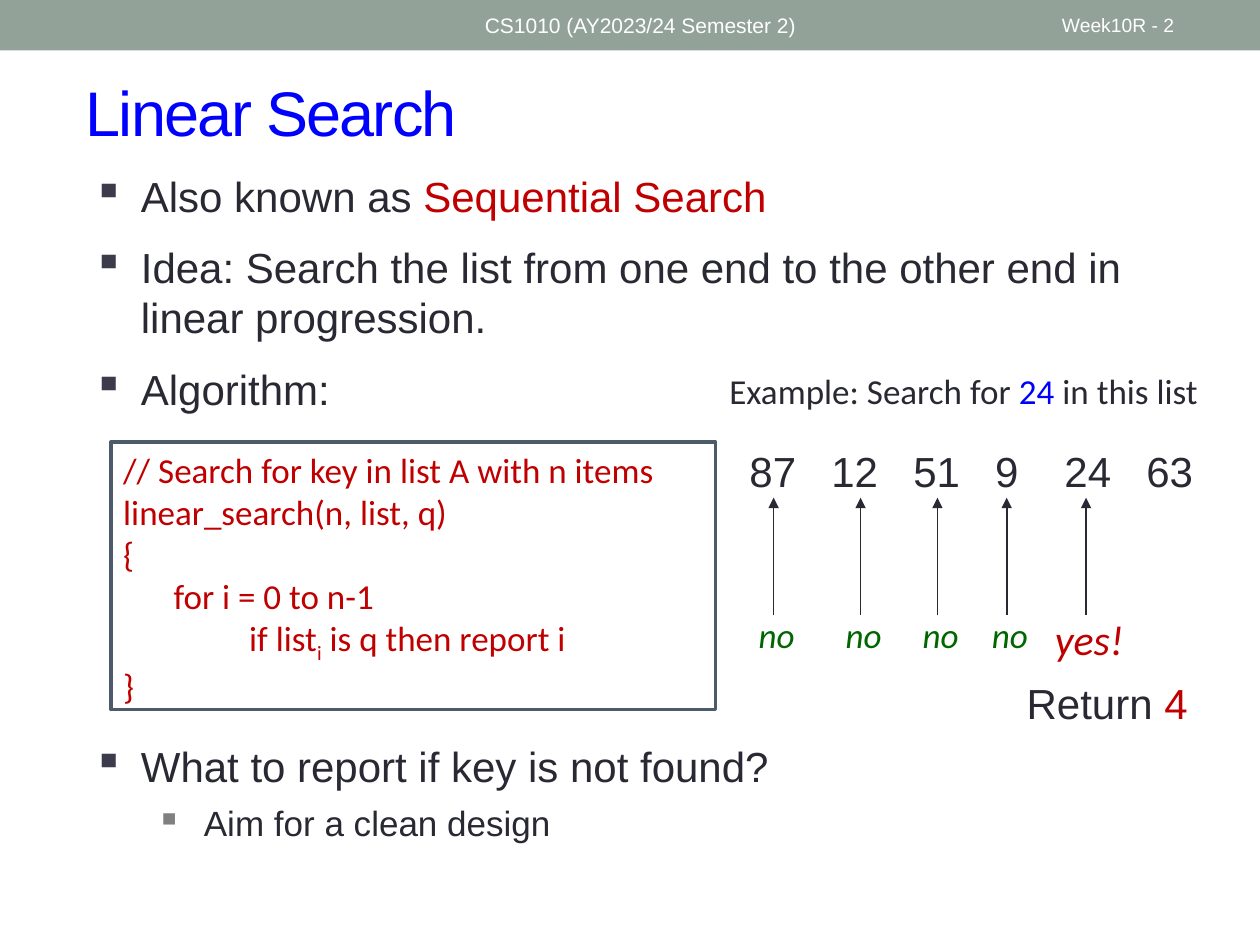
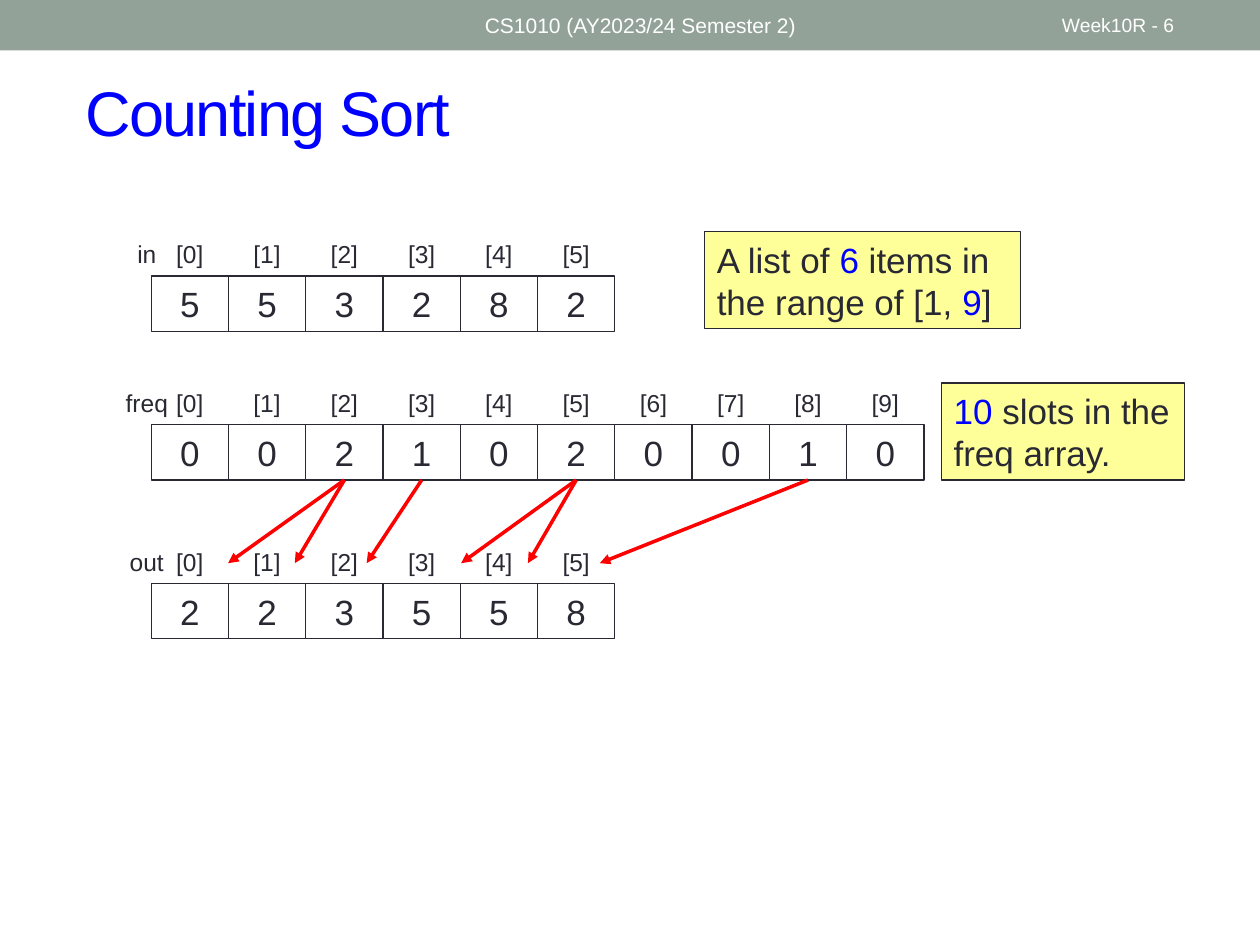
from dataclasses import dataclass

from lxml import etree
from pptx import Presentation
from pptx import util as u
from pptx.dml.color import RGBColor
from pptx.enum import shapes, text
from pptx.oxml.ns import qn

COLORS = {
    "band": "93A299", "ink": "292934", "blue": "0000FF", "red": "C00000",
    "green": "006600", "arrow": "FF0000", "note": "FFFF99", "white": "FFFFFF",
    "frame": "4C5A6A", "bullet": "3B3B4B", "sub_bullet": "808080",
}
COLUMNS, ROWS = 100, 75
CENTER = text.PP_ALIGN.CENTER
MIDDLE, TOP = text.MSO_ANCHOR.MIDDLE, text.MSO_ANCHOR.TOP


def rgb(name):
    return RGBColor.from_string(COLORS[name])


def assign(target, **values):
    for name, value in values.items():
        setattr(target, name, value)


@dataclass
class Line:
    """A paragraph; each run is a string or a (string, colour, baseline) tuple."""
    runs: list
    size: int = 20
    color: str = "ink"
    font: str = "Arial"
    italic: bool = False
    align: object = text.PP_ALIGN.LEFT
    before: int = 0
    indent: float = 0
    bullet: str = ""
    tabs: tuple = ()


class Deck:
    def __init__(self):
        self.prs = Presentation()
        assign(self.prs, slide_width=u.Inches(10), slide_height=u.Inches(7.5))
        self.slide = None

    def x(self, columns):
        return round(self.prs.slide_width * columns / COLUMNS)

    def y(self, rows):
        return round(self.prs.slide_height * rows / ROWS)

    def area(self, left, top, width, height):
        return self.x(left), self.y(top), self.x(width), self.y(height)

    def add_slide(self, title, number):
        self.slide = self.prs.slides.add_slide(self.prs.slide_layouts[5])
        self.box((0, 0, 100, 4), [], fill="band")
        heading = self.slide.shapes.title
        left, top, width, height = self.area(5.8, 4.2, 91.7, 9.2)
        assign(heading, left=left, top=top, width=width, height=height)
        self.fill_text(heading, [Line([title], 36, "blue")], MIDDLE)
        for run in heading.text_frame.paragraphs[0].runs:
            run._r.get_or_add_rPr().set("spc", "-100")
        self.label((37.5, 0.2, 45, 3.6),
                   [Line(["CS1010 (AY2023/24 Semester 2)"], 12, "white")], MIDDLE)
        self.label((83.3, 0.2, 11.7, 3.6),
                   [Line([f"Week10R - {number}"], 11, "white")], MIDDLE)

    def fill_text(self, shape, lines, anchor=TOP):
        frame = shape.text_frame
        assign(frame, word_wrap=True, vertical_anchor=anchor,
               auto_size=text.MSO_AUTO_SIZE.NONE)
        for i, line in enumerate(lines):
            paragraph = frame.add_paragraph() if i else frame.paragraphs[0]
            assign(paragraph, alignment=line.align, space_before=u.Pt(line.before))
            self.indent(paragraph._p.get_or_add_pPr(), line)
            for part in line.runs:
                words, color, baseline = (part if isinstance(part, tuple)
                                          else (part, line.color, 0))
                run = paragraph.add_run()
                run.text = words
                assign(run.font, name=line.font, size=u.Pt(line.size),
                       italic=line.italic)
                run.font.color.rgb = rgb(color)
                if baseline:
                    run._r.get_or_add_rPr().set("baseline", str(baseline * 1000))

    def indent(self, properties, line):
        """Set the margin, bullet and tab stops of a paragraph."""
        properties.set("marL", str(self.x(line.indent)))
        if line.bullet:
            properties.set("indent", str(-self.x(3.8)))
            tint = etree.SubElement(properties, qn("a:buClr"))
            etree.SubElement(tint, qn("a:srgbClr"), val=COLORS[line.bullet])
            etree.SubElement(properties, qn("a:buChar"), char="▪")
        if line.tabs:
            stops = etree.SubElement(properties, qn("a:tabLst"))
            for stop in line.tabs:
                etree.SubElement(stops, qn("a:tab"), pos=str(self.x(stop)), algn="l")

    def label(self, area, lines, anchor=TOP):
        self.fill_text(self.slide.shapes.add_textbox(*self.area(*area)), lines, anchor)

    def box(self, area, lines, fill=None, line=None, weight=0.75, anchor=TOP):
        box = self.slide.shapes.add_shape(shapes.MSO_SHAPE.RECTANGLE, *self.area(*area))
        box.shadow.inherit = False
        for part, color in ((box.fill, fill), (box.line.fill, line)):
            if color:
                part.solid()
                part.fore_color.rgb = rgb(color)
            else:
                part.background()
        if line:
            box.line.width = u.Pt(weight)
        self.fill_text(box, lines, anchor)
        return box

    def arrow(self, start, end, color, weight, source=None):
        """Draw an arrow, joined to the bottom of the source box if there is one."""
        arrow = self.slide.shapes.add_connector(
            shapes.MSO_CONNECTOR.STRAIGHT, self.x(start[0]), self.y(start[1]),
            self.x(end[0]), self.y(end[1]))
        if source is not None:
            arrow.begin_connect(source, 2)
        arrow.line.color.rgb = rgb(color)
        arrow.line.width = u.Pt(weight)
        etree.SubElement(arrow.line._get_or_add_ln(), qn("a:tailEnd"), type="triangle")
        etree.SubElement(arrow._element.spPr, qn("a:effectLst"))

    def array(self, name, values, top):
        """Draw a named row of indexed cells and return the cells."""
        left, pitch = 12, 55.2 / 9
        self.label((7.9, top - 3.4, 7.5, 3.4), [Line([name], 14, align=CENTER)])
        cells = []
        for i, value in enumerate(values):
            cell_left = left + i * pitch
            self.label((cell_left, top - 3.4, pitch, 3.4),
                       [Line([f"[{i}]"], 14, align=CENTER)])
            cells.append(self.box((cell_left, top, pitch, 4.4),
                                  [Line([str(value)], align=CENTER)],
                                  line="ink", anchor=MIDDLE))
        return cells


def point(*runs):
    return Line(list(runs), 24, before=12, indent=3.8, bullet="bullet")


def code(*runs, indent=0):
    return Line(list(runs), color="red", font="Calibri", indent=indent)


def linear_search(deck):
    deck.add_slide("Linear Search", 2)
    deck.label((6.4, 13, 90, 22.1), [
        point("Also known as ", ("Sequential Search", "red", 0)),
        point("Idea: Search the list from one end to the other end in "
              "linear progression."),
        point("Algorithm:"),
    ])
    deck.box((8.8, 35.1, 48, 21.2), [
        code("// Search for key in list A with n items"),
        code("linear_search(n, list, q)"),
        code("{"),
        code("for i = 0 to n-1", indent=4),
        code("if list", ("i", "red", -25), " is q then report i", indent=10),
        code("}"),
    ], fill="white", line="frame", weight=2.08)
    deck.label((58.5, 34.9, 38.6, 5.1), [
        Line(["87\t12\t51\t9\t24\t63"], 24, tabs=(6.5, 13, 19.5, 25, 31.5))])
    deck.label((56.9, 28.8, 42.1, 4.4), [
        Line(["Example: Search for ", ("24", "blue", 0), " in this list"],
             font="Calibri")])
    no, yes = ("no", 20, "green"), ("yes!", 24, "red")
    for center, (answer, size, color) in zip((61.4, 68.3, 74.4, 79.9, 86.2),
                                             [no] * 4 + [yes]):
        deck.arrow((center, 48.8), (center, 39.5), "ink", 1)
        deck.label((center - 3.9, 48.2, 8.3, 5), [
            Line([answer], size, color, "Calibri", italic=True, align=CENTER)])
    deck.label((6.4, 58.3, 90, 11.1), [
        point("What to report if key is not found?"),
        Line(["Aim for a clean design"], before=6, indent=8.8, bullet="sub_bullet"),
    ])
    deck.label((80.5, 53.3, 16.6, 5), [Line(["Return ", ("4", "red", 0)], 24)])


def counting_sort(deck):
    deck.add_slide("Counting Sort", 6)
    items = [5, 5, 3, 2, 8, 2]
    counts = [items.count(slot) for slot in range(10)]
    ordered = sorted(items)
    deck.array("in", items, 21.9)
    slots = deck.array("freq", counts, 33.7)
    deck.array("out", ordered, 46.3)
    for value, tip in zip(ordered, (18.1, 23.4, 29.1, 36.6, 41.9, 47.6)):
        deck.arrow((tip, 38.1), (tip, 44.7), "arrow", 2, slots[value])
    deck.box((55.9, 18.4, 25.1, 7.7), [
        Line(["A list of ", ("6", "blue", 0), " items in the range of [1, ",
              ("9", "blue", 0), "]"])], fill="note", line="ink")
    deck.box((74.7, 30.4, 19.3, 7.7), [
        Line([("10", "blue", 0), " slots in the freq array."])],
        fill="note", line="ink")


def main():
    deck = Deck()
    linear_search(deck)
    counting_sort(deck)
    deck.prs.save("out.pptx")


if __name__ == "__main__":
    main()
